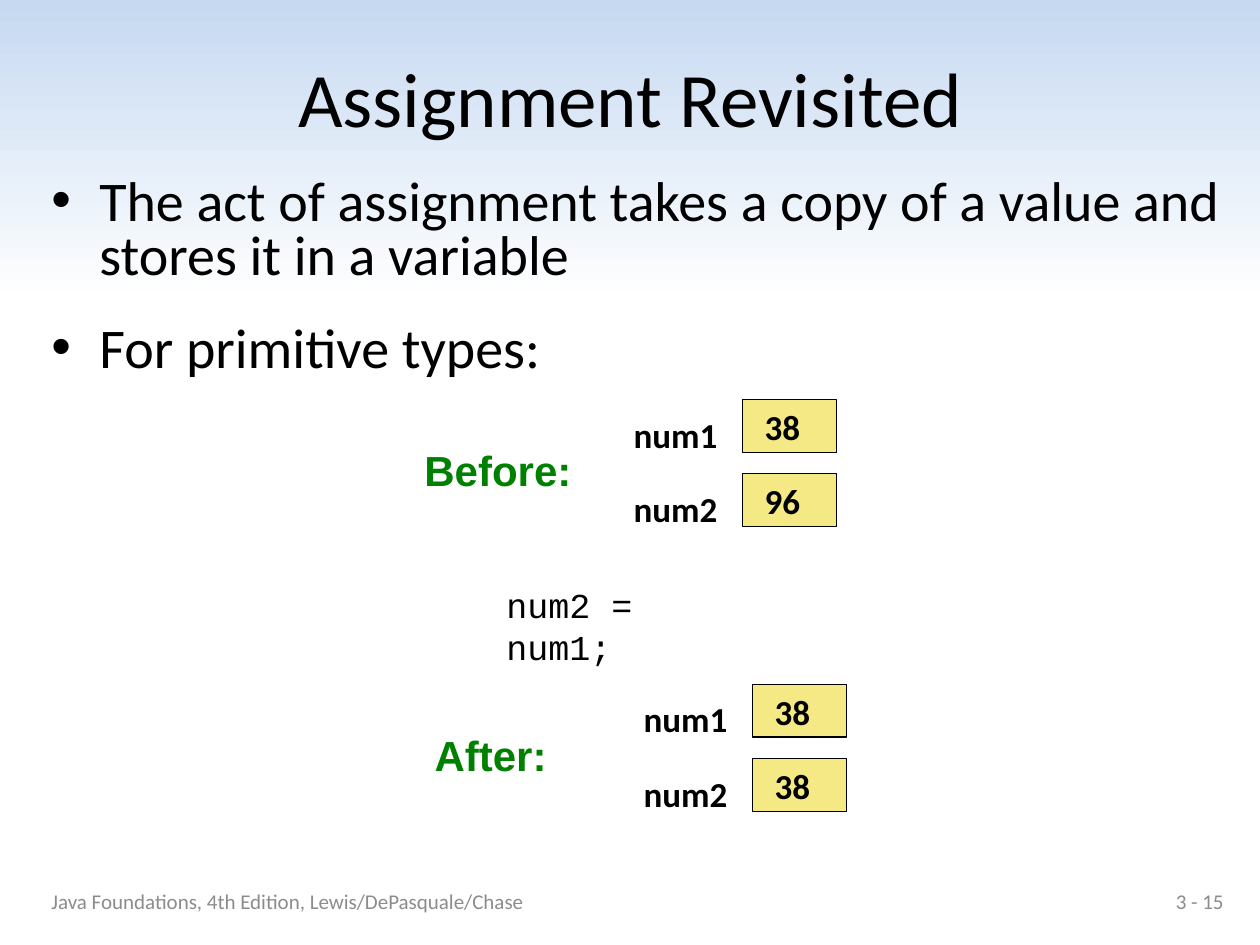
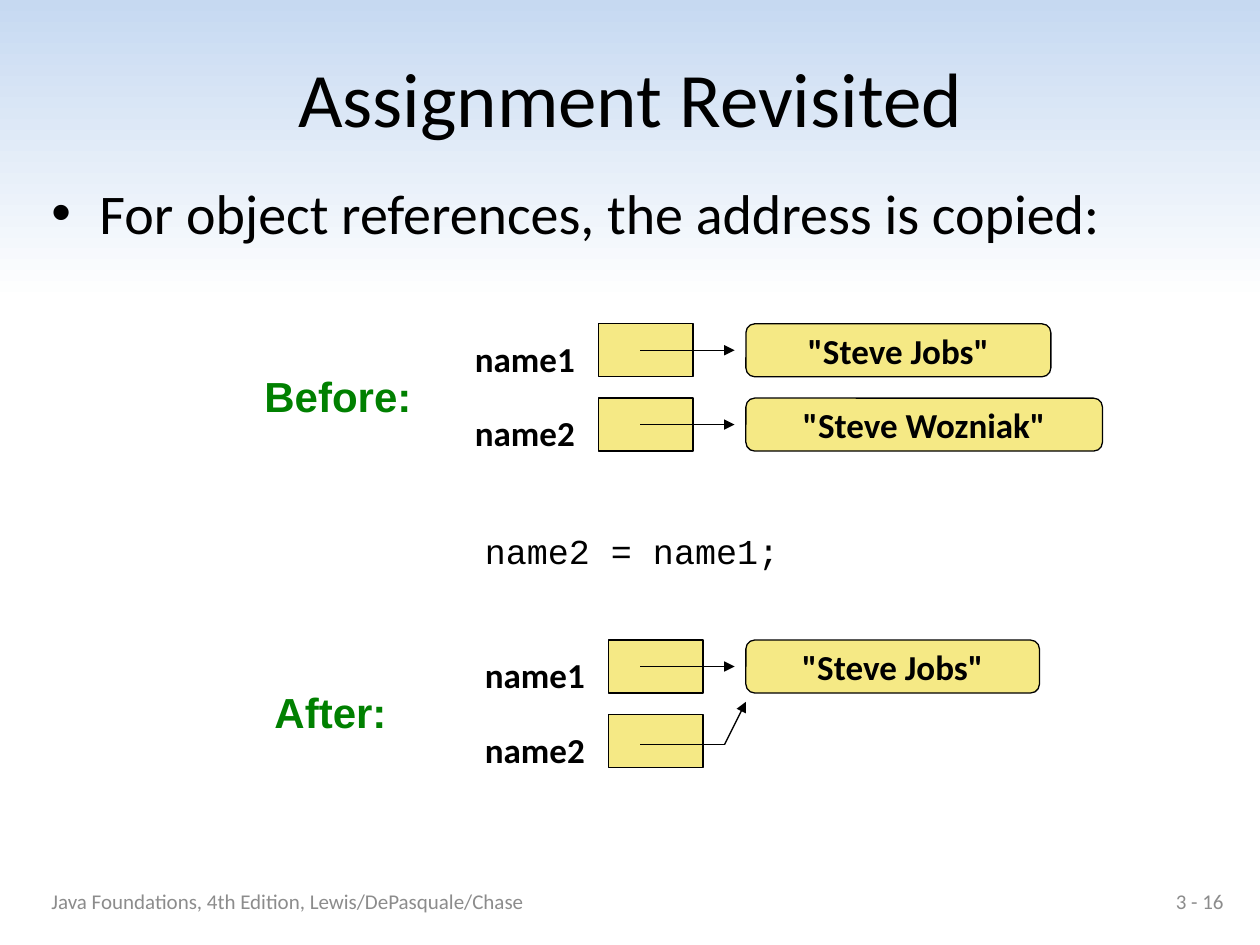
"""Build two slides on how assignment copies values and references."""
from dataclasses import dataclass

from lxml import etree
from pptx import Presentation
from pptx import util as u
from pptx.dml.color import RGBColor
from pptx.enum import shapes, text
from pptx.oxml import ns

PX = u.Inches(1) // 100


@dataclass(frozen=True)
class Theme:
    black: str = "000000"
    white: str = "FFFFFF"
    sky: str = "C6D9F1"
    yellow: str = "F5E985"
    green: str = "008000"
    gray: str = "8C8C8C"
    body_font: str = "Calibri"
    caption_font: str = "Arial"
    code_font: str = "Courier New"
    title_size: int = 44
    body_size: int = 32
    caption_size: int = 24
    label_size: int = 20
    footer_size: int = 12
    line_width: float = 0.75


THEME = Theme()
MIDDLE = text.MSO_ANCHOR.MIDDLE
TOP = text.MSO_ANCHOR.TOP
CENTER = text.PP_ALIGN.CENTER
RIGHT = text.PP_ALIGN.RIGHT
LEFT = text.PP_ALIGN.LEFT


def color(value):
    return RGBColor.from_string(value)


def write(frame, words, size=THEME.label_size, font=THEME.body_font,
          ink=THEME.black, bold=False, align=LEFT, anchor=TOP, wrap=True):
    """Fill a text frame, one paragraph for each line of words."""
    frame.word_wrap = wrap
    frame.vertical_anchor = anchor
    for index, line in enumerate(words.split("\n")):
        para = frame.add_paragraph() if index else frame.paragraphs[0]
        para.alignment = align
        span = para.add_run()
        span.text = line
        span.font.size = u.Pt(size)
        span.font.name = font
        span.font.bold = bold
        span.font.color.rgb = color(ink)


class Sheet:
    """Holds the theme and the current slide, and draws each kind of element."""

    def __init__(self, deck, theme):
        self.deck = deck
        self.theme = theme
        self.page = None
        self.canvas = None

    def start(self, title, number):
        self.page = self.deck.slides.add_slide(self.deck.slide_layouts[6])
        self.canvas = self.page.shapes
        fill = self.page.background.fill
        fill.gradient()
        fill.gradient_angle = 90
        stops = ((0.68, self.theme.white), (1, self.theme.sky))
        for stop, (position, tint) in zip(fill.gradient_stops, stops):
            stop.position = position
            stop.color.rgb = color(tint)
        self.text(title, 19, 30, 963, 94, size=self.theme.title_size,
                  align=CENTER, anchor=MIDDLE)
        footer = {"size": self.theme.footer_size, "ink": self.theme.gray,
                  "anchor": MIDDLE}
        self.text("Java Foundations, 4th Edition, Lewis/DePasquale/Chase",
                  31, 695, 717, 40, **footer)
        self.text(number, 748, 695, 233, 40, align=RIGHT, **footer)

    def group(self):
        self.canvas = self.page.shapes.add_group_shape().shapes

    def text(self, words, left, top, width, height, **style):
        box = self.canvas.add_textbox(
            left * PX, top * PX, width * PX, height * PX)
        write(box.text_frame, words, **style)
        return box

    def label(self, words, left, top, width, height=43, **style):
        box = self.text(words, left, top, width, height, wrap=False, **style)
        box.text_frame.auto_size = text.MSO_AUTO_SIZE.SHAPE_TO_FIT_TEXT

    def code(self, words, left, top, width):
        self.label(words, left, top, width, font=self.theme.code_font)

    def bullets(self, words, line_spacing, space_before):
        box = self.text(words, 31, 137, 951, 558, size=self.theme.body_size)
        for para in box.text_frame.paragraphs:
            para.line_spacing = line_spacing
            para.space_before = u.Pt(space_before)
            properties = para._p.get_or_add_pPr()
            properties.set("marL", str(38 * PX))
            properties.set("indent", str(-38 * PX))
            etree.SubElement(properties, ns.qn("a:buFont"),
                             typeface=self.theme.caption_font)
            etree.SubElement(properties, ns.qn("a:buChar"), char="•")

    def box(self, left, top, width=75, kind=shapes.MSO_SHAPE.RECTANGLE):
        box = self.canvas.add_shape(
            kind, left * PX, top * PX, width * PX, 42 * PX)
        box.shadow.inherit = False
        box.fill.solid()
        box.fill.fore_color.rgb = color(self.theme.yellow)
        box.line.color.rgb = color(self.theme.black)
        box.line.width = u.Pt(self.theme.line_width)
        return box

    def target(self, words, left, top, width):
        box = self.box(left, top, width, shapes.MSO_SHAPE.ROUNDED_RECTANGLE)
        write(box.text_frame, words, bold=True, align=CENTER, anchor=MIDDLE,
              wrap=False)

    def line(self, start, end, arrow=True):
        points = [value * PX for value in (*start, *end)]
        line = self.canvas.add_connector(shapes.MSO_CONNECTOR.STRAIGHT, *points)
        line.line.color.rgb = color(self.theme.black)
        line.line.width = u.Pt(self.theme.line_width)
        properties = line.element.spPr
        if arrow:
            etree.SubElement(properties.find(ns.qn("a:ln")),
                             ns.qn("a:tailEnd"), type="triangle")
        etree.SubElement(properties, ns.qn("a:effectLst"))

    def caption(self, words, left, top, width):
        self.label(words, left, top, width, 50, size=self.theme.caption_size,
                   font=self.theme.caption_font, ink=self.theme.green,
                   bold=True)

    def variable(self, name, left, top, name_shift, name_width):
        self.box(left, top)
        self.label(name, left - name_shift, top + 6, name_width, bold=True)


STATES = (("Before:", 137), ("After:", 109))
ROW_PITCH = 59


def primitive_slide(sheet):
    sheet.start("Assignment Revisited", "3 - 15")
    sheet.bullets("The act of assignment takes a copy of a value and stores "
                  "it in a variable\nFor primitive types:", 0.8, 22.4)
    sheet.code("num2 = num1;", 392, 458, 220)
    places = ((589, 317, ("38", "96")), (597, 543, ("38", "38")))
    for (state, width), (left, top, values) in zip(STATES, places):
        sheet.group()
        for row, value in enumerate(values):
            row_top = top + row * ROW_PITCH
            sheet.variable(f"num{row + 1}", left, row_top, 96, 87)
            sheet.label(value, left + 8, row_top, 53, bold=True)
        sheet.caption(state, left - 262, top + 31, width)


def reference_slide(sheet):
    sheet.start("Assignment Revisited", "3 - 16")
    sheet.bullets("For object references, the address is copied:", 1.0, 6.4)
    sheet.code("name2 = name1;", 375, 415, 256)
    places = (
        (475, 257, (('"Steve Jobs"', 242), ('"Steve Wozniak"', 283))),
        (483, 508, (('"Steve Jobs"', 233),)),
    )
    for (state, width), (left, top, targets) in zip(STATES, places):
        sheet.group()
        for row in range(2):
            sheet.variable(f"name{row + 1}", left, top + row * ROW_PITCH,
                           108, 103)
        for row, (words, target_width) in enumerate(targets):
            row_top = top + row * ROW_PITCH
            sheet.target(words, 592, row_top, target_width)
            sheet.line((508, row_top + 21), (583, row_top + 21))
        sheet.caption(state, left - 275, top + 32, width)
    bend = (575, 591)
    sheet.line(bend, (592, 557))
    sheet.line(bend, (508, 591), arrow=False)


def main():
    deck = Presentation()
    deck.slide_width = 1000 * PX
    deck.slide_height = 750 * PX
    sheet = Sheet(deck, THEME)
    primitive_slide(sheet)
    reference_slide(sheet)
    deck.save("out.pptx")


if __name__ == "__main__":
    main()
